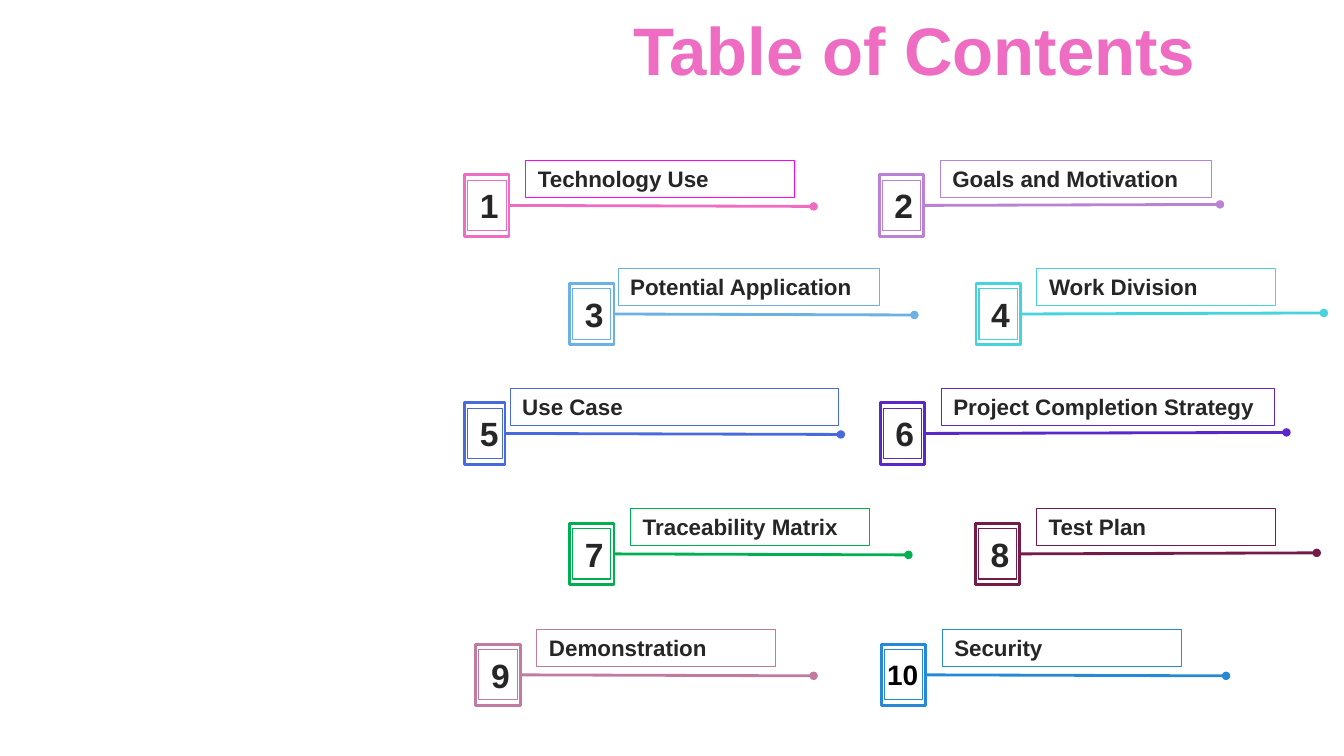
from dataclasses import dataclass

from lxml import etree
from pptx import Presentation
from pptx.dml.color import RGBColor
from pptx.enum.shapes import MSO_CONNECTOR as Connector, MSO_SHAPE as Shape
from pptx.enum.text import MSO_ANCHOR as Anchor, MSO_AUTO_SIZE as AutoSize, PP_ALIGN as Align
from pptx.oxml.ns import qn
from pptx.util import Inches, Length, Pt

WHITE = RGBColor(0xFF, 0xFF, 0xFF)
BLACK = RGBColor(0x00, 0x00, 0x00)
INK = RGBColor(0x26, 0x26, 0x26)
PINK = RGBColor(0xEE, 0x6C, 0xC1)
MAGENTA = RGBColor(0xFF, 0x00, 0xFF)
LILAC = RGBColor(0xB9, 0x82, 0xD5)
SKY = RGBColor(0x6D, 0xB0, 0xE4)
TURQUOISE = RGBColor(0x47, 0xD3, 0xDC)
BLUE = RGBColor(0x47, 0x6A, 0xDD)
VIOLET = RGBColor(0x5A, 0x28, 0xC8)
GREEN = RGBColor(0x00, 0xB0, 0x50)
PLUM = RGBColor(0x74, 0x1B, 0x47)
MAUVE = RGBColor(0xC2, 0x7B, 0xA0)
AZURE = RGBColor(0x27, 0x89, 0xD5)

# The grid has square cells, ten to the inch
CELLS_PER_INCH = 10
FRAME_HEIGHT = 6.1
BORDER = 0.3                # gap between the two frames, left and right
INNER_TOP, INNER_HEIGHT = 0.55, 5.0
LABEL_RISE, LABEL_HEIGHT = 1.45, 3.7
RULE_DROP = 3.05            # frame top to the start of the rule
TILT = 0.1
THICK, THIN = 2, 0.75


@dataclass(frozen=True)
class Entry:
    title: str
    color: RGBColor
    column: float           # left of the number frame
    row: float              # top of the number frame
    label_width: float
    rule_end: float
    tilt: float = TILT
    label_gap: float = 6.05
    frame_width: float = 4.4
    label_color: RGBColor | None = None


ROWS = (17.33, 28.1, 39.95, 51.9, 63.9)
ENTRIES = (
    Entry("Technology Use", PINK, 46.1, ROWS[0], 26.7, 80.7, label_color=MAGENTA),
    Entry("Goals and Motivation", LILAC, 87.2, ROWS[0], 26.9, 121, -TILT),
    Entry("Potential Application", SKY, 56.5, ROWS[1], 25.9, 90.7, label_gap=4.8),
    Entry("Work Division", TURQUOISE, 96.8, ROWS[1], 23.7, 131.3, -TILT),
    Entry("Use Case", BLUE, 46.1, ROWS[2], 32.6, 83.4, label_gap=4.5, frame_width=4),
    Entry("Project Completion Strategy", VIOLET, 87.3, ROWS[2], 33.1, 127.6, -TILT),
    Entry("Traceability Matrix", GREEN, 56.5, ROWS[3], 23.7, 90.1),
    Entry("Test Plan", PLUM, 96.75, ROWS[3], 23.7, 130.6, -TILT),
    Entry("Demonstration", MAUVE, 47.2, ROWS[4], 23.7, 80.7),
    Entry("Security", AZURE, 87.4, ROWS[4], 23.7, 121.6),
)


def cells(count: float) -> Length:
    return Inches(count / CELLS_PER_INCH)


def write(box, text: str, *, size: float, color: RGBColor = INK, align=Align.LEFT,
          anchor=Anchor.TOP, side: float = 1.2) -> None:
    frame = box.text_frame
    frame.word_wrap = True
    frame.auto_size = AutoSize.SHAPE_TO_FIT_TEXT
    frame.vertical_anchor = anchor
    frame.margin_left = frame.margin_right = cells(side)
    frame.margin_top = frame.margin_bottom = cells(0.5)
    para = frame.paragraphs[0]
    para.alignment = align
    span = para.add_run()
    span.text = text
    span.font.name = "Arial"
    span.font.size = Pt(size)
    span.font.bold = True
    span.font.color.rgb = color


def add_text_box(parent, left: float, top: float, width: float, height: float):
    return parent.shapes.add_textbox(*map(cells, (left, top, width, height)))


def add_outline(parent, left: float, top: float, width: float, height: float,
                color: RGBColor, weight: float, filled: bool = False):
    box = parent.shapes.add_shape(Shape.RECTANGLE, *map(cells, (left, top, width, height)))
    box.shadow.inherit = False
    if filled:
        box.fill.solid()
        box.fill.fore_color.rgb = WHITE
    else:
        box.fill.background()
    box.line.color.rgb = color
    box.line.width = Pt(weight)
    return box


def add_rule(parent, left: float, top: float, right: float, tilt: float,
             color: RGBColor) -> None:
    rule = parent.shapes.add_connector(
        Connector.STRAIGHT, *map(cells, (left, top, right, top + tilt)))
    rule.line.color.rgb = color
    rule.line.width = Pt(THICK)
    etree.SubElement(rule.line._get_or_add_ln(), qn("a:tailEnd"), type="oval")
    etree.SubElement(rule._element.spPr, qn("a:effectLst"))


def add_entry(page, number: int, entry: Entry) -> None:
    group = page.shapes.add_group_shape()

    # Label and the rule under it
    label = add_outline(group, entry.column + entry.label_gap, entry.row - LABEL_RISE,
                        entry.label_width, LABEL_HEIGHT,
                        entry.label_color or entry.color, THIN)
    write(label, entry.title, size=16)
    add_rule(group, entry.column + entry.frame_width, entry.row + RULE_DROP,
             entry.rule_end, entry.tilt, entry.color)

    # Double frame with the number
    add_outline(group, entry.column, entry.row, entry.frame_width, FRAME_HEIGHT,
                entry.color, THICK, filled=True)
    inner = add_outline(group, entry.column + BORDER, entry.row + INNER_TOP,
                        entry.frame_width - 2 * BORDER, INNER_HEIGHT, entry.color, THIN)
    if number < 10:
        write(inner, str(number), size=24, align=Align.CENTER)
    else:
        # Two digits need a box wider than the frame
        wide = add_text_box(page, entry.column - 0.4, entry.row + 0.8, 5.9, 4.4)
        write(wide, str(number), size=20, color=BLACK, side=1)


def main() -> None:
    deck = Presentation()
    deck.slide_width, deck.slide_height = Inches(13.33), Inches(7.5)
    page = deck.slides.add_slide(deck.slide_layouts[6])

    # Heading
    heading = add_text_box(page, 60.5, 0.3, 59.1, 9.1)
    write(heading, "Table of Contents", size=48, color=PINK, align=Align.RIGHT,
          anchor=Anchor.MIDDLE, side=1)

    # Numbered entries
    for number, entry in enumerate(ENTRIES, start=1):
        add_entry(page, number, entry)

    deck.save("out.pptx")


if __name__ == "__main__":
    main()
